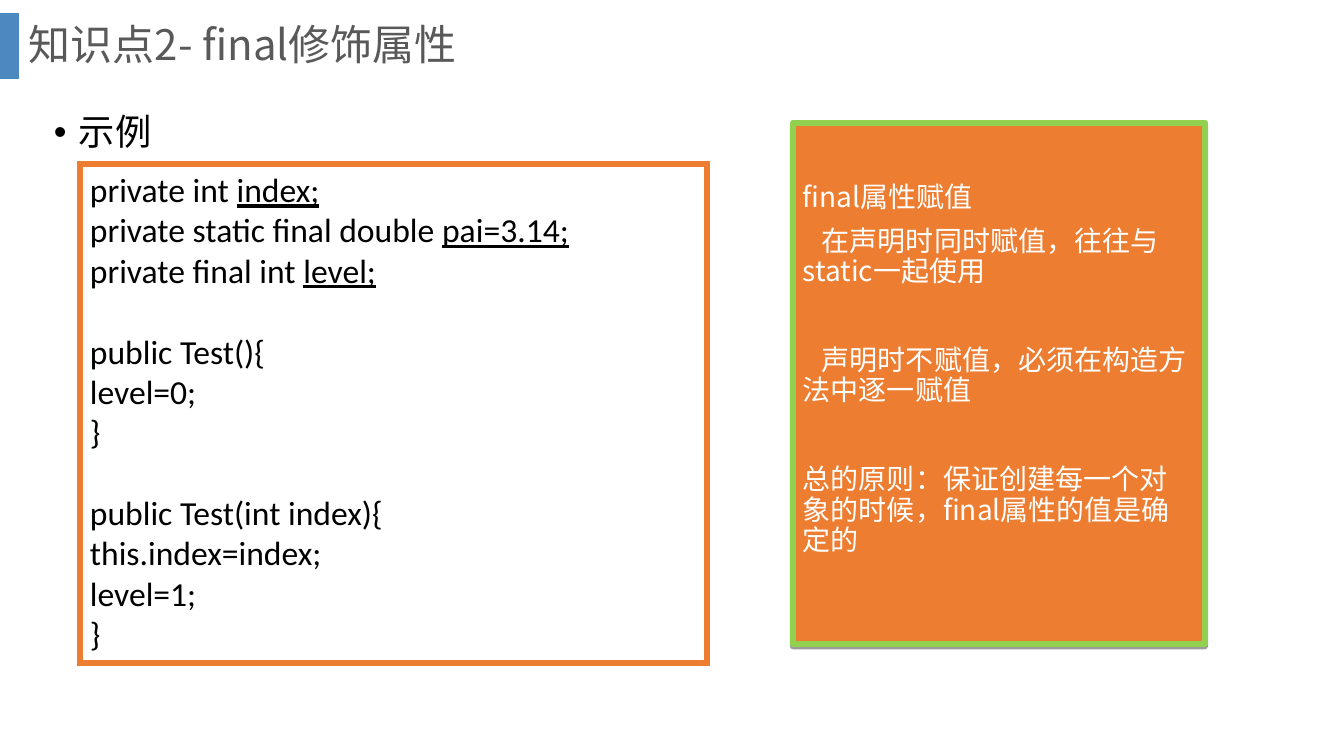
from lxml import etree
from pptx import Presentation
from pptx.dml.color import RGBColor
from pptx.enum.shapes import MSO_SHAPE
from pptx.enum.text import MSO_ANCHOR, PP_ALIGN
from pptx.oxml import parse_xml
from pptx.oxml.ns import qn
from pptx.util import Pt

RECT = MSO_SHAPE.RECTANGLE
TOP, MIDDLE = MSO_ANCHOR.TOP, MSO_ANCHOR.MIDDLE
LEFT = PP_ALIGN.LEFT

# Content
TITLE = "知识点2- final修饰属性"
HEAD = "示例"
# Code blocks of lines; each line is (plain text, underlined text)
CODE = [
    [("private int ", "index;"),
     ("private static final double ", "pai=3.14;"),
     ("private final int ", "level;")],
    [("public Test(){", ""), ("level=0;", ""), ("}", "")],
    [("public Test(int index){", ""), ("this.index=index;", ""),
     ("level=1;", ""), ("}", "")],
]
# Notes: text, first-line indent in px, space before in pt
NOTES = [
    ("final属性赋值", 0, 0),
    ("在声明时同时赋值，往往与static一起使用", 19, 10),
    ("声明时不赋值，必须在构造方法中逐一赋值", 19, 42),
    ("总的原则：保证创建每一个对象的时候，final属性的值是确定的", 0, 42),
]

# Style
BLUE = RGBColor(0x2E, 0x75, 0xB6)
GRAY = RGBColor(0x59, 0x59, 0x59)
BLACK = RGBColor(0, 0, 0)
WHITE = RGBColor(0xFF, 0xFF, 0xFF)
ORANGE = RGBColor(0xED, 0x7D, 0x31)
GREEN = RGBColor(0x92, 0xD0, 0x50)
CJK, LATIN = "Noto Sans CJK SC", "Calibri"
TIGHT = 0.9
CODE_GAP = 29
EDGE = 4.5
NS = "http://schemas.openxmlformats.org/drawingml/2006/main"
SHADOW = (f'<a:effectLst xmlns:a="{NS}"><a:outerShdw dist="20000" dir="5400000" '
          'rotWithShape="0"><a:srgbClr val="000000"><a:alpha val="38000"/>'
          '</a:srgbClr></a:outerShdw></a:effectLst>')


def px(n):
    return round(n * 914400 / 100.8)


def add_box(x, y, w, h, fill=None, line=None):
    box = slide.shapes.add_shape(RECT, px(x), px(y), px(w), px(h))
    box.shadow.inherit = False
    if fill is None:
        box.fill.background()
    else:
        box.fill.solid()
        box.fill.fore_color.rgb = fill
    if line is None:
        box.line.fill.background()
    else:
        box.line.color.rgb = line
        box.line.width = Pt(EDGE)
    return box


def set_frame(box, anchor):
    frame = box.text_frame
    frame.word_wrap = True
    frame.vertical_anchor = anchor
    return frame


def add_label(text, x, y, w, h, anchor):
    box = slide.shapes.add_textbox(px(x), px(y), px(w), px(h))
    frame = set_frame(box, anchor)
    frame.text = text
    return frame.paragraphs[0]


def next_para(frame, first):
    para = frame.paragraphs[0] if first else frame.add_paragraph()
    para.alignment = LEFT
    return para


def style(para, size, face, color):
    for run in para.runs:
        run.font.size = Pt(size)
        run.font.name = face
        run.font.color.rgb = color
        east = etree.SubElement(run.font._element, qn("a:ea"))
        east.set("typeface", face)


deck = Presentation()
deck.slide_width, deck.slide_height = px(1344), px(756)
slide = deck.slides.add_slide(deck.slide_layouts[6])

# Title with its side bar
bar = add_box(0, 13, 19, 66, BLUE)
tint = bar._element.spPr.find(qn("a:solidFill"))[0]
etree.SubElement(tint, qn("a:alpha")).set("val", "85000")
title = add_label(TITLE, 19, 0, 1276, 94, MIDDLE)
title.line_spacing = TIGHT
style(title, 30, CJK, GRAY)

# Bulleted heading
head = add_label(HEAD, 44, 83, 1226, 74, TOP)
head.line_spacing = 1.5
head.space_before = Pt(10)
style(head, 25.9, CJK, BLACK)
props = head._p.get_or_add_pPr()
props.set("marL", str(px(25)))
props.set("indent", str(-px(25)))
etree.SubElement(props, qn("a:buFont")).set("typeface", "Arial")
etree.SubElement(props, qn("a:buChar")).set("char", "•")

# Code box with square corners
box = add_box(80, 164, 627, 499, line=ORANGE)
edge = box._element.spPr.find(qn("a:ln"))
etree.SubElement(edge, qn("a:miter")).set("lim", "800000")
frame = set_frame(box, TOP)
for b, block in enumerate(CODE):
    for i, (plain, under) in enumerate(block):
        para = next_para(frame, b == i == 0)
        para.text = plain
        if under:
            run = para.add_run()
            run.text = under
            run.font.underline = True
        if b and i == 0:
            para.space_before = Pt(CODE_GAP)
        style(para, 24, LATIN, BLACK)

# Notes panel
panel = add_box(793, 123, 412, 521, ORANGE, GREEN)
props = panel._element.spPr
props.replace(props.find(qn("a:effectLst")), parse_xml(SHADOW))
frame = set_frame(panel, TOP)
frame.margin_top = px(60)
for i, (text, indent, gap) in enumerate(NOTES):
    para = next_para(frame, i == 0)
    para.text = text
    para.line_spacing = TIGHT
    para.space_before = Pt(gap)
    para._p.get_or_add_pPr().set("indent", str(px(indent)))
    style(para, 20, CJK, WHITE)

deck.save("out.pptx")
